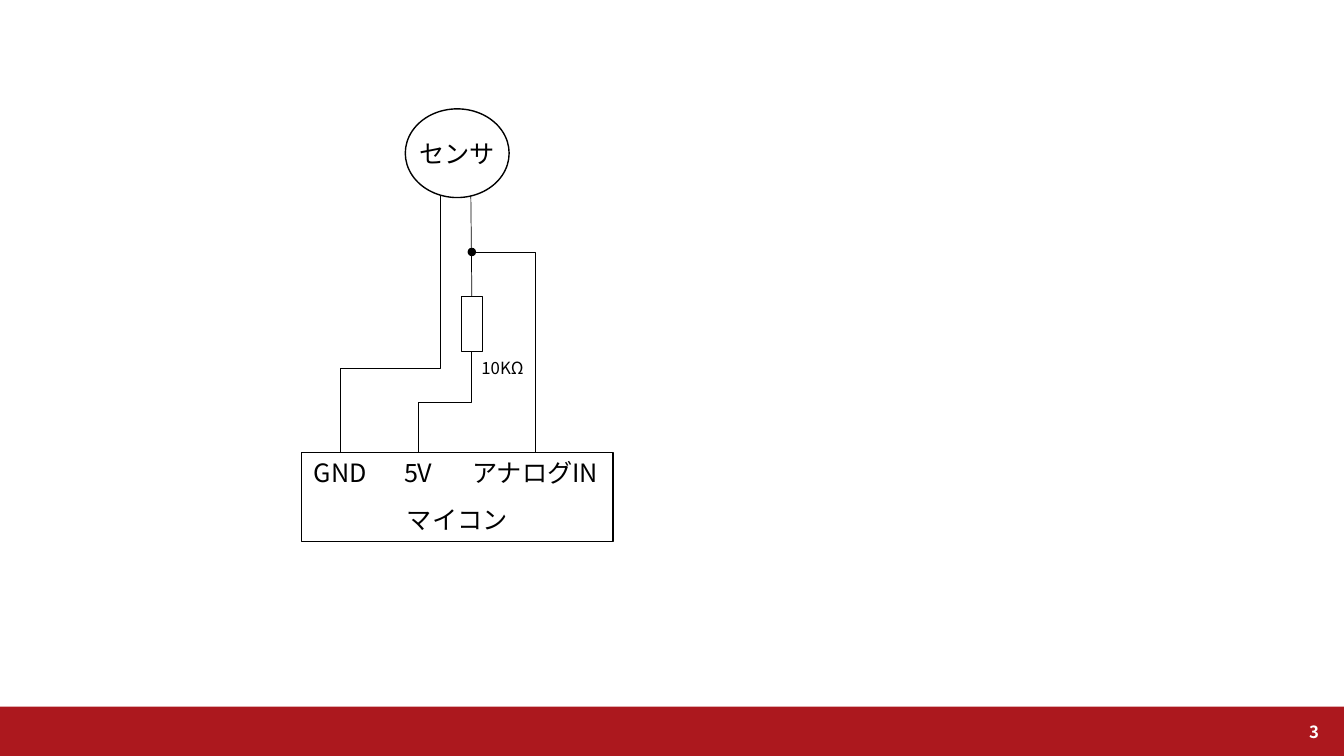
from lxml.etree import SubElement
from pptx import Presentation
from pptx.dml.color import RGBColor
from pptx.enum.shapes import MSO_CONNECTOR, MSO_SHAPE
from pptx.enum.text import MSO_ANCHOR, MSO_AUTO_SIZE, PP_ALIGN
from pptx.oxml.ns import qn
from pptx.util import Inches, Pt

BLACK = RGBColor(0x00, 0x00, 0x00)
WHITE = RGBColor(0xFF, 0xFF, 0xFF)
RED = RGBColor(0xAC, 0x18, 0x1E)
FONT = "Noto Sans CJK JP"

WIDTH, HEIGHT = 13.33, 7.5
FOOTER_TOP, FOOTER_HEIGHT = 7.01, 0.49

# The board is a grid of four columns; pins sit at the centres of their cells
BOARD_LEFT, BOARD_TOP = 2.99, 4.49
BOARD_WIDTH, BOARD_HEIGHT = 3.09, 0.88
COLUMN = BOARD_WIDTH / 4
BOARD_CENTRE = BOARD_LEFT + BOARD_WIDTH / 2
PINS = [("GND", 0, 1), ("5V", 1, 1), ("アナログIN", 2, 2)]  # label, column, span
LABEL_HEIGHT = 0.4

SENSOR_WIDTH, SENSOR_TOP, SENSOR_BOTTOM = 1.03, 1.08, 1.94
GROUND_X, SIGNAL_X = 4.37, 4.68
RESISTOR_TOP, RESISTOR_LENGTH, RESISTOR_WIDTH = 2.94, 0.55, 0.21
JUNCTION_Y, JUNCTION_SIZE = 2.5, 0.07


def add_outline(slide, kind, box, fill=None, line_width=None, rotation=0):
    shape = slide.shapes.add_shape(kind, *map(Inches, box))
    shape.shadow.inherit = False
    shape.rotation = rotation
    if fill is None:
        shape.fill.background()
    else:
        shape.fill.solid()
        shape.fill.fore_color.rgb = fill
    if line_width is None:
        shape.line.fill.background()
    else:
        shape.line.color.rgb = BLACK
        shape.line.width = Pt(line_width)
    return shape


def add_label(slide, text, box, size=18, color=BLACK, bold=False,
              align=PP_ALIGN.CENTER, anchor=MSO_ANCHOR.TOP):
    frame = slide.shapes.add_textbox(*map(Inches, box)).text_frame
    frame_format = {"word_wrap": True, "auto_size": MSO_AUTO_SIZE.NONE,
                    "vertical_anchor": anchor}
    for name, value in frame_format.items():
        setattr(frame, name, value)
    paragraph = frame.paragraphs[0]
    paragraph.alignment = align
    run = paragraph.add_run()
    run.text = text
    for name, value in {"name": FONT, "size": Pt(size), "bold": bold}.items():
        setattr(run.font, name, value)
    run.font.color.rgb = color
    # East Asian glyphs take their own typeface
    SubElement(run.font._element, qn("a:ea"), typeface=FONT)


def add_wire(slide, kind, start, end):
    wire = slide.shapes.add_connector(kind, *map(Inches, (*start, *end)))
    wire.line.color.rgb = BLACK
    wire.line.width = Pt(0.5)
    SubElement(wire._element.spPr, qn("a:effectLst"))
    return wire


def add_stepped_wire(slide, start, end, bend=0.5):
    """Wire that goes down, across at the share `bend` of the drop, and down."""
    (x1, y1), (x2, y2) = start, end
    drop, run = y2 - y1, abs(x2 - x1)
    left, top = (x1 + x2 - drop) / 2, (y1 + y2 - run) / 2
    rightward = x2 > x1
    sides = (left + drop, left) if rightward else (left, left + drop)
    wire = add_wire(slide, MSO_CONNECTOR.ELBOW,
                    (sides[0], top), (sides[1], top + run))
    properties = wire._element.spPr
    turn = 270 if rightward else 90
    properties.find(qn("a:xfrm")).set("rot", str(turn * 60000))
    guides = properties.find(qn("a:prstGeom")).find(qn("a:avLst"))
    SubElement(guides, qn("a:gd"), name="adj1",
               fmla=f"val {round(bend * 100000)}")


def add_footer(slide):
    box = (0, FOOTER_TOP, WIDTH, FOOTER_HEIGHT)
    add_outline(slide, MSO_SHAPE.RECTANGLE, box, fill=RED)
    add_label(slide, "3", (12.26, FOOTER_TOP, 0.92, FOOTER_HEIGHT), size=12,
              color=WHITE, bold=True, align=PP_ALIGN.RIGHT,
              anchor=MSO_ANCHOR.MIDDLE)


def add_sensor(slide):
    left = BOARD_CENTRE - SENSOR_WIDTH / 2
    add_outline(slide, MSO_SHAPE.OVAL,
                (left, SENSOR_TOP, SENSOR_WIDTH, 0.88), line_width=1)
    add_label(slide, "センサ", (left, 1.32, SENSOR_WIDTH, LABEL_HEIGHT))


def add_board(slide):
    box = (BOARD_LEFT, BOARD_TOP, BOARD_WIDTH, BOARD_HEIGHT)
    add_outline(slide, MSO_SHAPE.RECTANGLE, box, line_width=1)
    add_label(slide, "マイコン", (BOARD_CENTRE - 0.62, 4.95, 1.24, LABEL_HEIGHT))
    for label, column, span in PINS:
        add_label(slide, label, (BOARD_LEFT + column * COLUMN, BOARD_TOP,
                                 span * COLUMN, LABEL_HEIGHT))


def add_resistor(slide):
    box = (SIGNAL_X - RESISTOR_LENGTH / 2,
           RESISTOR_TOP + (RESISTOR_LENGTH - RESISTOR_WIDTH) / 2,
           RESISTOR_LENGTH, RESISTOR_WIDTH)
    add_outline(slide, MSO_SHAPE.RECTANGLE, box, line_width=0.5, rotation=270)
    add_label(slide, "10KΩ", (4.62, 3.5, 0.73, 0.3), size=12)


def add_wiring(slide):
    ground, power, analog = [
        (BOARD_LEFT + (column + span / 2) * COLUMN, BOARD_TOP)
        for _, column, span in PINS]
    add_stepped_wire(slide, (GROUND_X, SENSOR_BOTTOM), ground, bend=0.674)
    add_wire(slide, MSO_CONNECTOR.STRAIGHT,
             (SIGNAL_X - 0.01, SENSOR_BOTTOM), (SIGNAL_X, RESISTOR_TOP))
    add_stepped_wire(slide, (SIGNAL_X, RESISTOR_TOP + RESISTOR_LENGTH), power)
    add_stepped_wire(slide, (SIGNAL_X, JUNCTION_Y), analog, bend=0.003)
    # Junction dot
    add_outline(slide, MSO_SHAPE.OVAL,
                (SIGNAL_X - JUNCTION_SIZE / 2, JUNCTION_Y - JUNCTION_SIZE / 2,
                 JUNCTION_SIZE, JUNCTION_SIZE), fill=BLACK, line_width=1)


def main():
    presentation = Presentation()
    presentation.slide_width = Inches(WIDTH)
    presentation.slide_height = Inches(HEIGHT)
    slide = presentation.slides.add_slide(presentation.slide_layouts[6])
    for add_part in (add_footer, add_sensor, add_board, add_resistor, add_wiring):
        add_part(slide)
    presentation.save("out.pptx")


main()
